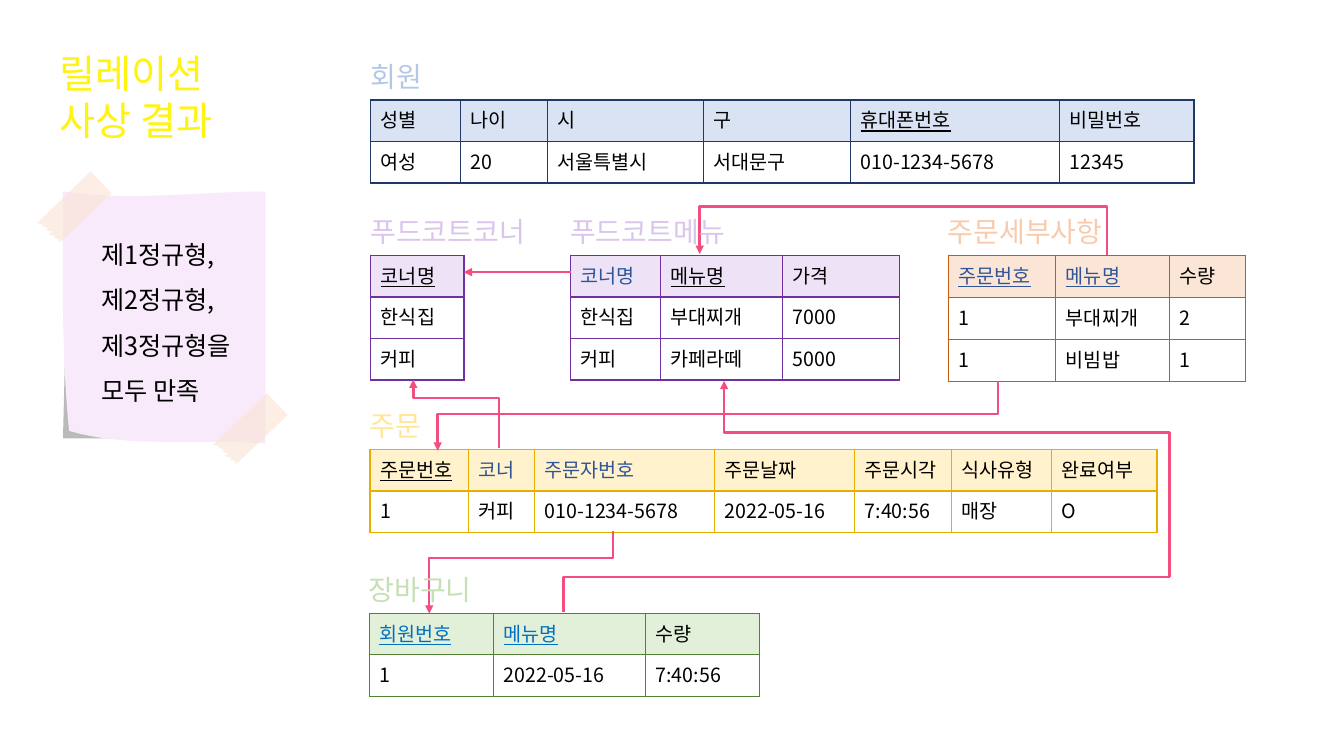
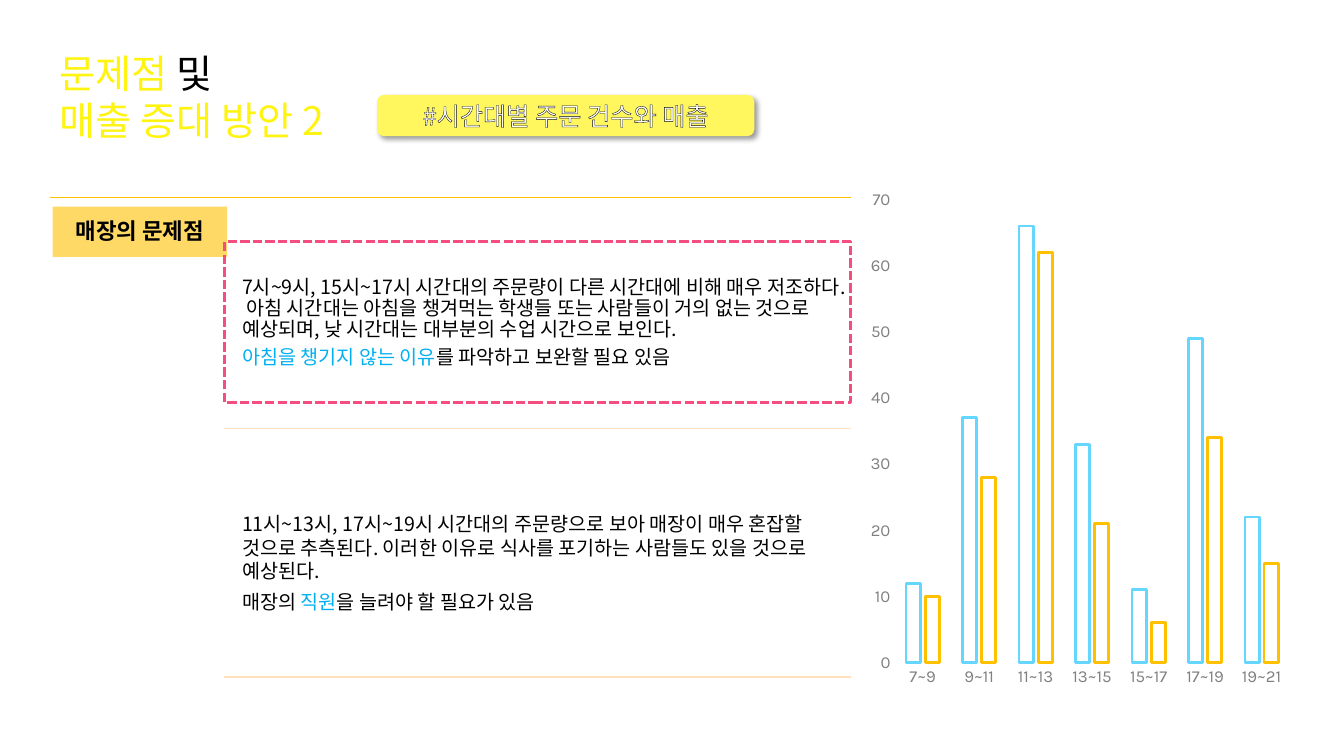
import dataclasses
import pptx
import pptx.chart.data
import pptx.dml.color
import pptx.enum.chart
import pptx.enum.dml
import pptx.enum.shapes
import pptx.enum.text
import pptx.oxml
import pptx.oxml.ns
import pptx.util

COLUMNS, ROWS = 160, 90
CELL = pptx.util.Inches(7.5) / ROWS
SHAPES = pptx.enum.shapes.MSO_SHAPE
ALIGN = pptx.enum.text.PP_ALIGN
ANCHOR = pptx.enum.text.MSO_ANCHOR


@dataclasses.dataclass(frozen=True)
class Theme:
    font: str = "Noto Sans CJK KR"
    chart_font: str = "Karla"
    title_size: int = 28
    label_size: int = 20
    note_size: int = 18
    heading_size: int = 16
    body_size: int = 14
    axis_size: int = 12
    chart_size: int = 10
    black: str = "000000"
    white: str = "FFFFFF"
    title: str = "FFF310"
    foreign: str = "2F5597"
    cart_key: str = "0070C0"
    accent: str = "00B0F0"
    pink: str = "F34E7F"
    paper: str = "F8EAFA"
    tape: str = "FBE5D6"
    heading: str = "FFD966"
    tag: str = "FFF75D"
    tag_edge: str = "0D0D0D"
    rule: str = "FFE2BD"
    gold: str = "FFC000"
    sky: str = "65D7FF"
    gray: str = "808080"


THEME = Theme()
BLUE = ("203864", "DAE3F3", "B4C7E7")
PURPLE = ("7030A0", "EDE2F6", "DCC5ED")
ORANGE = ("C55A11", "FBE5D6", "F8CBAD")
YELLOW = ("E6AF00", "FFF2CC", "FFE699")
GREEN = ("548235", "E2F0D9", "C5E0B4")
KEY = {"underline": True}
FOREIGN = {"color": THEME.foreign}
FOREIGN_KEY = {**FOREIGN, **KEY}
CART_KEY = {"color": THEME.cart_key, **KEY}

RELATIONS = [
    ("회원", 16, 44.15, 11.9, 4.95, BLUE,
     [("성별", 10.7, {}), ("나이", 10.3, {}), ("시", 18.6, {}), ("구", 17.5, {}),
      ("휴대폰번호", 24.9, KEY), ("비밀번호", 16, {})],
     [["여성", "20", "서울특별시", "서대문구", "010-1234-5678", "12345"]]),
    ("푸드코트코너", 23.6, 44.15, 30.4, 4.95, PURPLE,
     [("코너명", 11.1, KEY)], [["한식집"], ["커피"]]),
    ("푸드코트메뉴", 23.6, 67.95, 30.4, 4.95, PURPLE,
     [("코너명", 10.7, FOREIGN), ("메뉴명", 14.5, KEY), ("가격", 13.9, {})],
     [["한식집", "부대찌개", "7000"], ["커피", "카페라떼", "5000"]]),
    ("주문세부사항", 24.7, 112.9, 30.4, 5, ORANGE,
     [("주문번호", 12.8, FOREIGN_KEY), ("메뉴명", 13.5, FOREIGN_KEY), ("수량", 9.1, {})],
     [["1", "부대찌개", "2"], ["1", "비빔밥", "1"]]),
    ("주문", 16, 44.05, 53.5, 4.95, YELLOW,
     [("주문번호", 11.7, KEY), ("코너", 7.9, FOREIGN), ("주문자번호", 21.4, FOREIGN),
      ("주문날짜", 16.7, {}), ("주문시각", 11.5, {}), ("식사유형", 11.9, {}),
      ("완료여부", 12.6, {})],
     [["1", "커피", "010-1234-5678", "2022-05-16", "7:40:56", "매장", "O"]]),
    ("장바구니", 21, 43.95, 73, 4.95, GREEN,
     [("회원번호", 14.8, CART_KEY), ("메뉴명", 18.1, CART_KEY), ("수량", 13.6, {})],
     [["1", "2022-05-16", "7:40:56"]]),
]

ARROWS = [
    ((118.8, 45.35), (52.1, 53.65), 49.3),
    ((59.4, 53.3), (49.2, 45.2), 47.4),
    ((139.25, 68.7), (86.2, 45.35), 51.5),
    ((73, 63.2), (51.1, 73.05), 66.4),
    ((131.8, 30.36), (83.3, 30.24), 24.5),
]

TAPE_EDGE = [(.72, 0), (1, .31), (.35, .97), (.32, 1), (.29, .99), (.31, .97),
             (.23, .94), (.25, .92), (.16, .89), (.21, .86), (.2, .85), (.13, .83),
             (.15, .8), (.07, .77), (.09, .76), (0, .73), (.05, .69)]


def grid(*lengths):
    return [round(length * CELL) for length in lengths]


def rgb(color):
    return pptx.dml.color.RGBColor.from_string(color)


def element(parent, tag, position=None, **attributes):
    child = pptx.oxml.parse_xml(f"<{tag} {pptx.oxml.ns.nsdecls('a')}/>")
    for name, value in attributes.items():
        child.set(name, str(value))
    parent.insert(len(parent) if position is None else position, child)
    return child


def solid(parent, color):
    return element(element(parent, "a:solidFill"), "a:srgbClr", val=color)


def fade(shape, percent):
    for color in shape._element.spPr.xpath("./a:solidFill/a:srgbClr"):
        element(color, "a:alpha", val=percent * 1000)


def write(frame, paragraphs, size=THEME.body_size, color=THEME.black, bold=False,
          underline=False, outline=None, edge=THEME.black, align=ALIGN.LEFT,
          spacing=1, after=0):
    for index, pieces in enumerate(paragraphs):
        para = frame.paragraphs[0] if index == 0 else frame.add_paragraph()
        para.alignment, para.line_spacing = align, spacing
        para.space_after = pptx.util.Pt(after)
        for text, span_color in [(pieces, color)] if isinstance(pieces, str) else pieces:
            span = para.add_run()
            span.text = text
            font = span.font
            font.name, font.size, font.bold = THEME.font, pptx.util.Pt(size), bold
            font.underline = underline
            font.color.rgb = rgb(span_color)
            properties = span._r.get_or_add_rPr()
            element(properties, "a:ea", typeface=THEME.font)
            if outline and span_color == color:
                solid(element(properties, "a:ln", 0, w=pptx.util.Pt(outline)), edge)


def text_box(page, box, paragraphs, anchor=ANCHOR.TOP, margin=None, **style):
    frame = page.shapes.add_textbox(*grid(*box)).text_frame
    frame.word_wrap, frame.vertical_anchor = True, anchor
    if margin is not None:
        frame.margin_left = frame.margin_right = pptx.util.Inches(margin)
        frame.margin_top = frame.margin_bottom = pptx.util.Inches(margin)
    write(frame, paragraphs, **style)


def panel(page, kind, box, fill=None):
    shape = page.shapes.add_shape(kind, *grid(*box))
    shape.shadow.inherit = False
    shape.line.fill.background()
    if fill:
        shape.fill.solid()
        shape.fill.fore_color.rgb = rgb(fill)
    else:
        shape.fill.background()
    shape.text_frame.vertical_anchor = ANCHOR.MIDDLE
    return shape


def title_page(deck, paragraphs, width):
    page = deck.slides.add_slide(deck.slide_layouts[5])
    title = page.shapes.title
    title.left, title.top, title.width, title.height = grid(5.9, 5.3, width, 12.5)
    title.text_frame.vertical_anchor = ANCHOR.TOP
    title.text_frame.word_wrap = True
    title.text_frame.auto_size = pptx.enum.text.MSO_AUTO_SIZE.NONE
    write(title.text_frame, paragraphs, size=THEME.title_size, color=THEME.title, outline=1.5)
    return page


def line(page, start, end, color, width, kind="STRAIGHT", arrow=False):
    connector = page.shapes.add_connector(
        getattr(pptx.enum.shapes.MSO_CONNECTOR, kind), *grid(*start, *end))
    connector.line.color.rgb = rgb(color)
    connector.line.width = pptx.util.Pt(width)
    element(connector._element.spPr, "a:effectLst")
    if arrow:
        element(connector.line._get_or_add_ln(), "a:tailEnd", type="triangle")
    return connector


def elbow(page, start, end, turn=None):
    across, down = end[0] - start[0], end[1] - start[1]
    width, height = abs(across), abs(down)
    if turn is not None:
        width, height = height, width
    left = (start[0] + end[0] - width) / 2
    top = (start[1] + end[1] - height) / 2
    connector = line(page, (left, top), (left + width, top + height), THEME.pink, 1.75,
                     "ELBOW", arrow=turn is not None)
    frame = connector._element.spPr.find(pptx.oxml.ns.qn("a:xfrm"))
    shape = connector._element.spPr.find(pptx.oxml.ns.qn("a:prstGeom"))
    if turn is None:
        shape.set("prst", "bentConnector2")
        angle, flip = 180, True
    else:
        angle, flip = (90 if down > 0 else 270), (across > 0) == (down > 0)
        guides = shape.find(pptx.oxml.ns.qn("a:avLst"))
        share = round((turn - start[1]) / down * 100000)
        element(guides, "a:gd", name="adj1", fmla=f"val {share}")
    frame.set("rot", str(angle * 60000))
    if flip:
        frame.set("flipV", "1")


def relation_table(page, left, top, row, colors, header, records):
    border, fill, _ = colors
    widths = [width for _, width, _ in header]
    count = len(records) + 1
    table = page.shapes.add_table(
        count, len(header), *grid(left, top, sum(widths), row * count)).table
    table.first_row = table.horz_banding = False
    for column, width in zip(table.columns, widths):
        column.width = grid(width)[0]
    styles = [style for _, _, style in header]
    for index, texts in enumerate([[name for name, _, _ in header], *records]):
        table.rows[index].height = grid(row)[0]
        for column, text in enumerate(texts):
            cell = table.cell(index, column)
            properties = cell._tc.get_or_add_tcPr()
            for side in "LRTB":
                solid(element(properties, f"a:ln{side}", w=pptx.util.Pt(1)), border)
            if index == 0:
                cell.fill.solid()
                cell.fill.fore_color.rgb = rgb(fill)
            else:
                cell.fill.background()
            write(cell.text_frame, [text], **(styles[column] if index == 0 else {}))


def inside(box, points):
    left, top, width, height = box
    return [(left + x * width, top + y * height) for x, y in points]


def curve(start, first, second, end, steps=16):
    def blend(axis, t):
        return ((1 - t) ** 3 * start[axis] + 3 * (1 - t) ** 2 * t * first[axis]
                + 3 * (1 - t) * t ** 2 * second[axis] + t ** 3 * end[axis])
    return [(blend(0, step / steps), blend(1, step / steps)) for step in range(steps + 1)]


def outline(page, box, points, color, opacity=100):
    corners = [tuple(grid(*point)) for point in inside(box, points)]
    builder = page.shapes.build_freeform(*corners[0], scale=1.0)
    builder.add_line_segments(corners[1:], close=True)
    shape = builder.convert_to_shape()
    shape.shadow.inherit = False
    shape.line.fill.background()
    shape.fill.solid()
    shape.fill.fore_color.rgb = rgb(color)
    if opacity < 100:
        fade(shape, opacity)


def sticky_note(page, box, paragraphs):
    left, top, width, height = box
    outline(page, box, [(.02, .33), (0, .98), (.42, .98)], THEME.black, 27)
    paper = (curve((0, 0), (.35, .04), (.67, 0), (1, 0))
             + curve((1, 1), (.68, .98), (.32, 1.02), (.03, .95))
             + curve((.03, .95), (-.01, .62), (0, .3), (0, 0)))
    outline(page, box, paper, THEME.paper)
    for corner in inside(box, [(-.13, -.08), (.74, .8)]):
        outline(page, (*corner, .37 * width, .28 * height), TAPE_EDGE, THEME.tape, 62)
    text_box(page, (left + .14 * width, top + .11 * height, .8 * width, .75 * height),
             paragraphs, size=THEME.note_size, spacing=1.5)


def relation_page(deck):
    page = title_page(deck, ["릴레이션", "사상 결과"], 31.1)
    for _, _, *relation in RELATIONS:
        relation_table(page, *relation)
    for start, end, turn in ARROWS:
        elbow(page, start, end, turn)
    elbow(page, (139.25, 68.7), (67.1, 72.9))
    line(page, (67.95, 32.4), (55.2, 32.4), THEME.pink, 1.75, arrow=True)
    for name, width, left, top, _, colors, *_ in RELATIONS:
        text_box(page, (left - 1.25, top - 5.4, width, 5.3), [name],
                 size=THEME.label_size, color=colors[2], outline=.5)
    sticky_note(page, (7.5, 22.8, 24.1, 30),
                ["제1정규형,", "제2정규형,", "제3정규형을", "모두 만족"])


def tag(page, box, text):
    shape = panel(page, SHAPES.ROUNDED_RECTANGLE, box, THEME.tag)
    effects = shape._element.spPr.find(pptx.oxml.ns.qn("a:effectLst"))
    shadow = element(effects, "a:outerShdw", blurRad=pptx.util.Pt(4),
                     dist=pptx.util.Pt(3), dir=45 * 60000, algn="tl", rotWithShape=0)
    element(element(shadow, "a:srgbClr", val=THEME.black), "a:alpha", val=40000)
    write(shape.text_frame, [text], size=THEME.note_size, color=THEME.white,
          outline=1, edge=THEME.tag_edge, align=ALIGN.CENTER)


def problem_list(page, box):
    left, top, width, height = box
    right, indent = left + width, left + 20.75
    line(page, (left, top), (right, top), THEME.gold, .5)
    heading = panel(page, SHAPES.RECTANGLE, (left + .35, top + 1.1, 20.8, 6), THEME.heading)
    write(heading.text_frame, ["매장의 문제점"], size=THEME.heading_size, bold=True,
          align=ALIGN.CENTER, spacing=.9)
    quiet = ["7시~9시, 15시~17시 시간대의 주문량이 다른 시간대에 비해 매우 저조하다. 아침 시간대는 아침을 챙겨먹는 학생들 또는 사람들이 거의 없는 것으로 예상되며, 낮 시간대는 대부분의 수업 시간으로 보인다.",
             [("아침을 챙기지 않는 이유", THEME.accent),
              ("를 파악하고 보완할 필요 있음", THEME.black)]]
    busy = ["11시~13시, 17시~19시 시간대의 주문량으로 보아 매장이 매우 혼잡할 것으로 추측된다. 이러한 이유로 식사를 포기하는 사람들도 있을 것으로 예상된다.",
            [("매장의 ", THEME.black), ("직원", THEME.accent),
             ("을 늘려야 할 필요가 있음", THEME.black)]]
    for offset, extent, spacing, paragraphs in [(2.4, 25.1, .9, quiet), (29.9, 27.2, 1, busy)]:
        bottom = top + offset + extent
        text_box(page, (indent + 1.45, top + offset, right - indent - 1.45, extent), paragraphs,
                 anchor=ANCHOR.MIDDLE, margin=.06, spacing=spacing, after=5)
        line(page, (indent, bottom), (right, bottom), THEME.rule, 1)
    focus = panel(page, SHAPES.RECTANGLE, (indent + .1, top + 5.3, right - indent - .1, 19.1))
    focus.line.color.rgb = rgb(THEME.pink)
    focus.line.width = pptx.util.Pt(2.25)
    focus.line.dash_style = pptx.enum.dml.MSO_LINE.SQUARE_DOT


def order_chart(page, box):
    data = pptx.chart.data.CategoryChartData()
    data.categories = ["7~9", "9~11", "11~13", "13~15", "15~17", "17~19", "19~21"]
    data.add_series("Series 1", [12, 37, 66, 33, 11, 49, 22])
    data.add_series("Series 2", [10, 28, 62, 21, 6, 34, 15])
    chart = page.shapes.add_chart(
        pptx.enum.chart.XL_CHART_TYPE.COLUMN_CLUSTERED, *grid(*box), data).chart
    chart.has_legend = chart.has_title = False
    chart.font.name, chart.font.size = THEME.chart_font, pptx.util.Pt(THEME.chart_size)
    chart.font.color.rgb = rgb(THEME.black)
    for axis in (chart.category_axis, chart.value_axis):
        axis.has_major_gridlines = False
        axis.major_tick_mark = axis.minor_tick_mark = pptx.enum.chart.XL_TICK_MARK.NONE
        axis.format.line.fill.background()
        font = axis.tick_labels.font
        font.name, font.size = THEME.chart_font, pptx.util.Pt(THEME.axis_size)
        font.color.rgb = rgb(THEME.gray)
    chart.value_axis.minimum_scale, chart.value_axis.maximum_scale = 0, 70
    chart.value_axis.major_unit = 10
    plot = chart.plots[0]
    plot.vary_by_categories, plot.gap_width, plot.overlap = False, 164, -35
    for series, color in zip(plot.series, (THEME.sky, THEME.gold)):
        series.format.fill.background()
        series.format.line.color.rgb = rgb(color)
        series.format.line.width = pptx.util.Pt(2)


def problem_page(deck):
    page = title_page(deck, [[("문제점 ", THEME.title), ("및", THEME.black)],
                             "매출 증대 방안 2"], 43.8)
    problem_list(page, (5.9, 23.5, 95.4, 57.1))
    order_chart(page, (102.6, 21.35, 52, 61.6))
    tag(page, (44.9, 11.3, 44.9, 4.9), "#시간대별 주문 건수와 매출")


def main():
    deck = pptx.Presentation()
    deck.slide_width, deck.slide_height = grid(COLUMNS, ROWS)
    relation_page(deck)
    problem_page(deck)
    deck.save("out.pptx")


if __name__ == "__main__":
    main()
